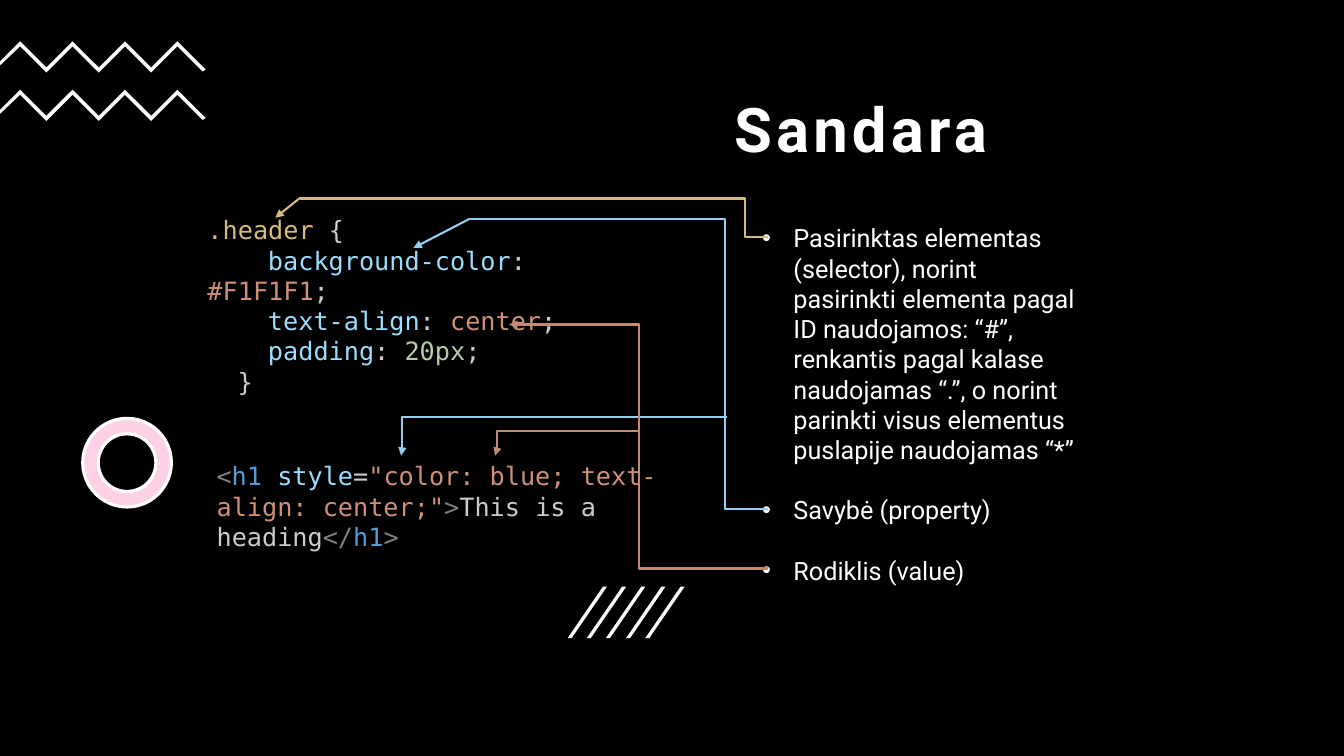
from dataclasses import dataclass

from lxml import etree
from pptx import Presentation
from pptx.dml.color import RGBColor
from pptx.enum.shapes import MSO_CONNECTOR, MSO_SHAPE
from pptx.enum.text import MSO_ANCHOR, MSO_AUTO_SIZE, PP_ALIGN
from pptx.oxml.ns import qn
from pptx.util import Pt

PX = 9144  # EMU per px, 100 px to the inch
STRAIGHT, ELBOW = MSO_CONNECTOR.STRAIGHT, MSO_CONNECTOR.ELBOW
DONUT = MSO_SHAPE.DONUT
LEFT, TOP, BOTTOM = PP_ALIGN.LEFT, MSO_ANCHOR.TOP, MSO_ANCHOR.BOTTOM
NO_FIT = MSO_AUTO_SIZE.NONE


@dataclass(frozen=True)
class Theme:
    background: str = "000000"
    white: str = "FFFFFF"
    ring: str = "FFD1E7"
    selector: str = "D7BA7D"
    name: str = "9CDCFE"
    value: str = "CE9178"
    number: str = "B5CEA8"
    tag: str = "569CD6"
    bracket: str = "808080"
    plain: str = "CCCCCC"
    property_line: str = "93D0F0"
    value_line: str = "C38A72"
    sans: str = "Roboto"
    mono: str = "DejaVu Sans Mono"
    title_size: float = 44
    text_size: float = 18
    list_gap: float = 21.5
    line_width: float = 1.5
    ring_width: float = 2.25


T = Theme()


@dataclass(frozen=True)
class CodeLine:
    indent: int
    tokens: tuple[tuple[str, str], ...]


@dataclass(frozen=True)
class Link:
    start: tuple[int, int]
    end: tuple[int, int]
    color: str
    arrow: bool = False
    bend: float | None = None  # share of the width before the elbow


def declaration(name: str, value: str, color: str) -> CodeLine:
    return CodeLine(60, ((name, T.name), (": ", T.plain), (value, color), (";", T.plain)))


RULE = [
    CodeLine(0, ((".header", T.selector), (" {", T.plain))),
    declaration("background-color", "#F1F1F1", T.value),
    declaration("text-align", "center", T.value),
    declaration("padding", "20px", T.number),
    CodeLine(30, (("}", T.plain),)),
]
HEADING = [CodeLine(0, (
    ("<", T.bracket), ("h1 ", T.tag), ("style", T.name), ("=", T.plain),
    ('"color: blue; text-align: center;"', T.value), (">", T.bracket),
    ("This is a heading", T.plain), ("</", T.bracket), ("h1", T.tag), (">", T.bracket),
))]
NOTES = [
    "Pasirinktas elementas (selector), norint pasirinkti elementa pagal ID naudojamos: “#”, "
    "renkantis pagal kalase naudojamas “.”, o norint parinkti visus elementus puslapije "
    "naudojamas “*”",
    "Savybė (property)",
    "Rodiklis (value)",
]
LINKS = [
    Link((762, 505), (466, 217), T.property_line, bend=0.145),
    Link((466, 217), (410, 246), T.property_line, arrow=True),
    Link((721, 414), (398, 452), T.property_line, arrow=True, bend=0.997),
    Link((762, 235), (298, 197), T.selector, bend=0.05),
    Link((298, 196), (273, 216), T.selector, arrow=True),
    Link((762, 564), (505, 322), T.value_line, arrow=True, bend=0.5),
    Link((634, 428), (491, 452), T.value_line, arrow=True, bend=0.986),
]


def rgb(color: str) -> RGBColor:
    return RGBColor.from_string(color)


def place(sp, x: int, y: int, w: int, h: int) -> None:
    sp.left, sp.top, sp.width, sp.height = x * PX, y * PX, w * PX, h * PX


def set_font(font, name: str, size: float, color: str) -> None:
    font.name, font.size = name, Pt(size)
    font.color.rgb = rgb(color)


def add_outline(s, points: list[tuple[int, int]]) -> None:
    builder = s.shapes.build_freeform(*points[0], scale=PX)
    builder.add_line_segments(points[1:], close=True)
    sp = builder.convert_to_shape()
    sp.shadow.inherit = False
    sp.fill.solid()
    sp.fill.fore_color.rgb = rgb(T.white)
    sp.line.fill.background()


def add_code(s, x: int, y: int, w: int, h: int, lines: list[CodeLine]) -> None:
    tf = s.shapes.add_textbox(x * PX, y * PX, w * PX, h * PX).text_frame
    tf.word_wrap = True
    for i, line in enumerate(lines):
        p = tf.add_paragraph() if i else tf.paragraphs[0]
        p._p.get_or_add_pPr().set("indent", str(line.indent * PX))
        p.font.name, p.font.size = T.mono, Pt(T.text_size)
        for text, color in line.tokens:
            r = p.add_run()
            r.text = text
            r.font.color.rgb = rgb(color)


def add_link(s, link: Link) -> None:
    kind = STRAIGHT if link.bend is None else ELBOW
    ends = [v * PX for v in link.start + link.end]
    cx = s.shapes.add_connector(kind, *ends)
    cx.line.color.rgb = rgb(link.color)
    cx.line.width = Pt(T.line_width)
    sp_pr = cx._element.spPr
    if link.bend is not None:
        guides = sp_pr.find(qn("a:prstGeom")).get_or_add_avLst()
        etree.SubElement(guides, qn("a:gd"), name="adj1", fmla=f"val {round(link.bend * 100000)}")
    if link.arrow:
        etree.SubElement(sp_pr.find(qn("a:ln")), qn("a:tailEnd"), type="triangle")
    etree.SubElement(sp_pr, qn("a:effectLst"))


def add_decoration(s) -> None:
    # Slanted strokes
    for i in range(5):
        x = 563 + round(19.25 * i)
        add_outline(s, [(x + 4, 633), (x, 633), (x + 35, 582), (x + 39, 582)])
    # Zigzags running in from the left edge
    for y in (41, 89):
        peaks = [(20 + 26 * i, y + 26 * (i % 2)) for i in range(7)]
        under = [(px, py + 5) for px, py in reversed(peaks)]
        add_outline(s, peaks + [(204, y + 28), (201, y + 30)] + under + [(0, y + 24), (0, y + 20)])
    # Ring
    ring = s.shapes.add_shape(DONUT, 82 * PX, 415 * PX, 88 * PX, 88 * PX)
    ring.adjustments[0] = 0.175
    ring.shadow.inherit = False
    ring.fill.solid()
    ring.fill.fore_color.rgb = rgb(T.ring)
    ring.line.color.rgb = rgb(T.white)
    ring.line.width = Pt(T.ring_width)


def fill_title(sp) -> None:
    place(sp, 718, 44, 505, 126)
    tf = sp.text_frame
    tf.text = "Sandara"
    tf.vertical_anchor, tf.auto_size = BOTTOM, NO_FIT
    p = tf.paragraphs[0]
    p.alignment, p.line_spacing = LEFT, 0.9
    set_font(p.font, T.sans, T.title_size, T.white)
    p.font.bold = True
    p.runs[0]._r.get_or_add_rPr().set("spc", "300")


def fill_notes(sp) -> None:
    place(sp, 746, 216, 336, 374)
    tf = sp.text_frame
    tf.vertical_anchor, tf.auto_size = TOP, NO_FIT
    for i, note in enumerate(NOTES):
        p = tf.add_paragraph() if i else tf.paragraphs[0]
        p.text = note
        p.space_before = Pt(T.list_gap if i else 0)
        set_font(p.font, T.sans, T.text_size, T.white)
        p_pr = p._p.get_or_add_pPr()
        p_pr.set("marL", str(31 * PX))
        p_pr.set("indent", str(-31 * PX))


def main() -> None:
    prs = Presentation()
    prs.slide_width, prs.slide_height = 1333 * PX, 750 * PX
    s = prs.slides.add_slide(prs.slide_layouts[1])
    s.background.fill.solid()
    s.background.fill.fore_color.rgb = rgb(T.background)
    add_decoration(s)
    fill_title(s.shapes.title)
    add_code(s, 196, 208, 444, 162, RULE)
    add_code(s, 205, 452, 497, 101, HEADING)
    fill_notes(s.placeholders[1])
    for link in LINKS:
        add_link(s, link)
    prs.save("out.pptx")


if __name__ == "__main__":
    main()
